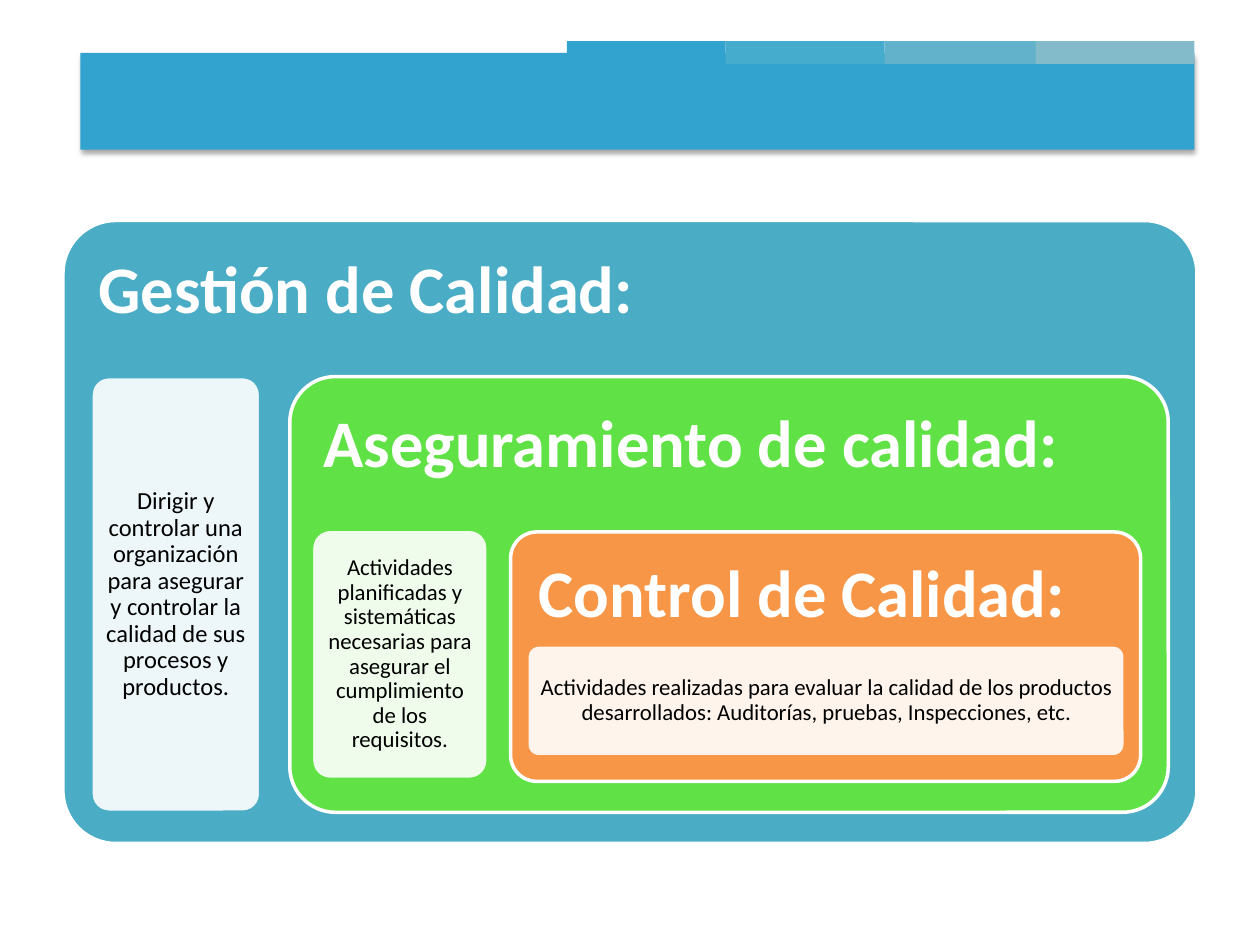
from dataclasses import dataclass

from lxml.etree import SubElement
from pptx import Presentation
from pptx.dml.color import RGBColor as RGB
from pptx.enum.shapes import MSO_SHAPE as Preset
from pptx.enum.text import MSO_ANCHOR as Anchor, PP_ALIGN as Align
from pptx.oxml.ns import qn
from pptx.util import Pt


@dataclass(frozen=True)
class Theme:
    font: str = "Calibri"
    heading_size: int = 38
    white: str = "FFFFFF"
    black: str = "000000"
    band: str = "32A3CE"
    tabs: tuple = ("32A3CE", "45ACCD", "62B2CB", "83BBCA")
    management: str = "4BACC6"
    assurance: str = "60E146"
    control: str = "F79646"


def write_text(shape, text, *, size, color, font, bold=False,
               align=Align.LEFT, anchor=Anchor.TOP, inset=4):
    frame = shape.text_frame
    frame.word_wrap = True
    frame.vertical_anchor = anchor
    frame.margin_left = frame.margin_right = Pt(inset)
    frame.margin_top = frame.margin_bottom = Pt(inset)
    paragraph = frame.paragraphs[0]
    paragraph.text = text
    paragraph.alignment = align
    paragraph.line_spacing = 0.9
    style = paragraph.font
    style.name, style.size, style.bold = font, Pt(size), bold
    style.color.rgb = RGB.from_string(color)


class SlideBuilder:
    def __init__(self, slide, theme):
        self.slide = slide
        self.theme = theme

    def block(self, preset, box, fill, line=None):
        shape = self.slide.shapes.add_shape(preset, *map(Pt, box))
        shape.shadow.inherit = False
        shape.fill.solid()
        shape.fill.fore_color.rgb = RGB.from_string(fill)
        if line:
            shape.line.color.rgb = RGB.from_string(line)
            shape.line.width = Pt(2)
        else:
            shape.line.fill.background()
        return shape

    def header(self, left, top, width, height):
        """Draw the shadowed band and the tabs along its upper right edge."""
        band = self.block(Preset.RECTANGLE, (left, top, width, height), self.theme.band)
        effects = band._element.spPr.find(qn("a:effectLst"))
        shadow = SubElement(effects, qn("a:outerShdw"), blurRad=str(Pt(3.1)),
                            dist=str(Pt(1.8)), dir="5400000", rotWithShape="0")
        tint = SubElement(shadow, qn("a:srgbClr"), val=self.theme.black)
        SubElement(tint, qn("a:alpha"), val="35000")

        tab_width, first_tab = 90.7, 324
        last_tab = left + width - tab_width
        for index, color in enumerate(self.theme.tabs):
            tab_left = min(first_tab + index * tab_width, last_tab)
            self.block(Preset.RECTANGLE, (tab_left, 23.5, tab_width, 13), color)

    def panel(self, box, heading, color, rounding=0.105):
        panel = self.block(Preset.ROUNDED_RECTANGLE, box, color, self.theme.white)
        panel.adjustments[0] = rounding
        write_text(panel, heading, size=self.theme.heading_size, bold=True,
                   color=self.theme.white, font=self.theme.font, inset=11.5)

    def note(self, box, text, border, size=13):
        """Draw a translucent white card with centred text."""
        card = self.block(Preset.ROUNDED_RECTANGLE, box, self.theme.white, border)
        card.adjustments[0] = 0.105
        tint = card._element.spPr.find(qn("a:solidFill")).find(qn("a:srgbClr"))
        SubElement(tint, qn("a:alpha"), val="90000")
        write_text(card, text, size=size, color=self.theme.black, font=self.theme.font,
                   align=Align.CENTER, anchor=Anchor.MIDDLE)


def main():
    deck = Presentation()
    deck.slide_width, deck.slide_height = Pt(720), Pt(540)
    theme = Theme()
    blank_layout = deck.slide_layouts[6]
    builder = SlideBuilder(deck.slides.add_slide(blank_layout), theme)

    builder.header(46, 30.2, 636.5, 55.4)

    builder.panel((36, 126, 648, 356), "Gestión de Calidad:", theme.management, rounding=0.085)
    builder.note((52, 215.2, 97, 249),
                 "Dirigir y controlar una organización para asegurar y controlar "
                 "la calidad de sus procesos y productos.", theme.management, size=14)

    builder.panel((165.6, 215.2, 502, 249), "Aseguramiento de calidad:", theme.assurance)
    builder.note((178, 302.4, 101, 143),
                 "Actividades planificadas y sistemáticas necesarias para asegurar "
                 "el cumplimiento de los requisitos.", theme.assurance)

    builder.panel((291.8, 304, 360, 142.5), "Control de Calidad:", theme.control)
    builder.note((301, 368.5, 342, 64),
                 "Actividades realizadas para evaluar la calidad de los productos "
                 "desarrollados: Auditorías, pruebas, Inspecciones, etc.", theme.control)

    deck.save("out.pptx")


if __name__ == "__main__":
    main()
